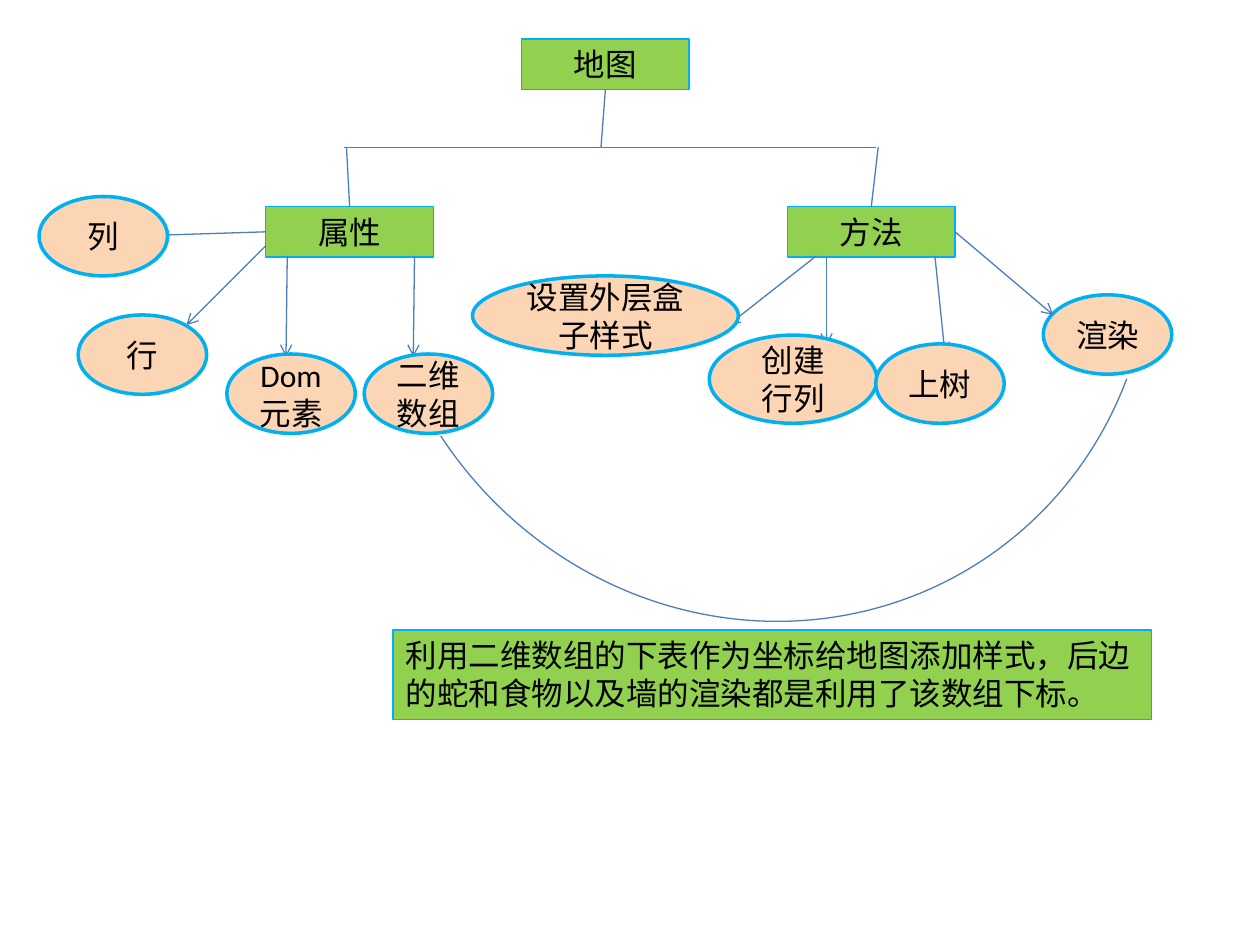
from lxml.etree import SubElement
from pptx import Presentation
from pptx.dml.color import RGBColor
from pptx.enum.shapes import MSO_CONNECTOR, MSO_SHAPE
from pptx.enum.text import MSO_ANCHOR, MSO_AUTO_SIZE, PP_ALIGN
from pptx.oxml.ns import qn
from pptx.util import Inches, Pt

GREEN = RGBColor(0x92, 0xD0, 0x50)
PEACH = RGBColor(0xFC, 0xD5, 0xB5)
CYAN = RGBColor(0x00, 0xB0, 0xF0)
BLUE = RGBColor(0x4B, 0x7E, 0xBC)
BLACK = RGBColor(0, 0, 0)

FONT = {"name": "Calibri", "size": Pt(18)}
TOP, BOTTOM, LEFT, RIGHT = 0, 2, 1, 3

BOX_SIZE = (1.33, 0.4)
OVAL_SIZE = (1.02, 0.63)
BRANCH_TOP = 1.64
BRANCH_BOTTOM = 2.03
BAR_Y = 1.17

# name: (left, top)
BOXES = {
    "地图": (4.14, 0.31),
    "属性": (2.11, BRANCH_TOP),
    "方法": (6.25, BRANCH_TOP),
}
NOTE = ("利用二维数组的下表作为坐标给地图添加样式，"
        "后边的蛇和食物以及墙的渲染都是利用了该数组下标。")
NOTE_FRAME = (3.12, 5, 6.02, 0.71)

# name, position, size
OVALS = [
    ("行", (0.62, 2.5), OVAL_SIZE),
    ("列", (0.31, 1.56), OVAL_SIZE),
    ("二维数组", (2.89, 2.81), OVAL_SIZE),
    ("Dom元素", (1.8, 2.81), OVAL_SIZE),
    ("创建行列", (5.63, 2.66), (1.33, 0.7)),
    ("上树", (6.95, 2.73), OVAL_SIZE),
    ("渲染", (8.28, 2.34), OVAL_SIZE),
    ("设置外层盒子样式", (3.75, 2.19), (2.11, 0.63)),
]

# start, end, (box, side) that the start is joined to
TREE_LINES = [
    ((2.73, BAR_Y), (6.95, BAR_Y), None),
    ((4.78, 0.71), (4.77, BAR_Y), ("地图", BOTTOM)),
    ((2.73, BRANCH_TOP), (2.75, BAR_Y), ("属性", TOP)),
    ((6.95, BRANCH_TOP), (6.97, BAR_Y), ("方法", TOP)),
]
ARROWS = [
    ((2.11, 1.95), (1.48, 2.58), None),
    ((2.28, BRANCH_BOTTOM), (2.27, 2.83), None),
    ((3.29, BRANCH_BOTTOM), (3.28, 2.83), None),
    ((2.11, 1.88), (1.17, 1.87), ("属性", LEFT)),
    ((6.48, BRANCH_BOTTOM), (5.78, 2.58), None),
    ((6.56, BRANCH_BOTTOM), (6.56, 2.74), None),
    ((7.42, BRANCH_BOTTOM), (7.5, 2.81), None),
]
RENDER_ARROW = ((7.58, 1.87), (8.36, 2.5), ("方法", RIGHT))

ARC_FRAME = (3, -1.39, 6.1, 6.36)
ARC_ROTATION = 146.8
ARC_ADJUSTMENTS = (141.6, 0)


def add_node(slide, kind, frame, fill, line_width, text, alignment, anchor):
    shape = slide.shapes.add_shape(kind, *map(Inches, frame))
    shape.shadow.inherit = False
    shape.fill.solid()
    shape.fill.fore_color.rgb = fill
    shape.line.color.rgb = CYAN
    shape.line.width = Pt(line_width)
    text_frame = shape.text_frame
    text_frame.word_wrap = True
    text_frame.vertical_anchor = anchor
    paragraph = text_frame.paragraphs[0]
    paragraph.alignment = alignment
    run = paragraph.add_run()
    run.text = text
    for key, value in FONT.items():
        setattr(run.font, key, value)
    run.font.color.rgb = BLACK
    return shape


def add_box(slide, frame, text, alignment):
    box = add_node(slide, MSO_SHAPE.RECTANGLE, frame, GREEN, 0.75,
                   text, alignment, MSO_ANCHOR.TOP)
    box.text_frame.auto_size = MSO_AUTO_SIZE.SHAPE_TO_FIT_TEXT
    return box


def add_line(slide, boxes, start, end, joint, arrow=False):
    connector = slide.shapes.add_connector(
        MSO_CONNECTOR.STRAIGHT, *map(Inches, start + end))
    if joint:
        name, side = joint
        connector.begin_connect(boxes[name], side)
    connector.line.color.rgb = BLUE
    connector.line.width = Pt(0.75)
    if arrow:
        SubElement(connector.line._get_or_add_ln(), qn("a:tailEnd"), type="arrow")
    SubElement(connector._element.spPr, qn("a:effectLst"))


def add_arc(slide):
    arc = slide.shapes.add_shape(MSO_SHAPE.ARC, *map(Inches, ARC_FRAME))
    for index, value in enumerate(ARC_ADJUSTMENTS):
        arc.adjustments[index] = value
    arc.rotation = ARC_ROTATION
    arc.shadow.inherit = False
    arc.fill.background()
    arc.line.color.rgb = BLUE
    arc.line.width = Pt(0.75)


def main():
    presentation = Presentation()
    presentation.slide_width = Inches(10)
    presentation.slide_height = Inches(7.5)
    slide = presentation.slides.add_slide(presentation.slide_layouts[6])

    boxes = {name: add_box(slide, position + BOX_SIZE, name, PP_ALIGN.CENTER)
             for name, position in BOXES.items()}
    for line in TREE_LINES:
        add_line(slide, boxes, *line)
    for line in ARROWS:
        add_line(slide, boxes, *line, arrow=True)
    for name, position, size in OVALS:
        add_node(slide, MSO_SHAPE.OVAL, position + size, PEACH, 2,
                 name, PP_ALIGN.CENTER, MSO_ANCHOR.MIDDLE)
    add_line(slide, boxes, *RENDER_ARROW, arrow=True)
    add_arc(slide)
    add_box(slide, NOTE_FRAME, NOTE, PP_ALIGN.LEFT)

    presentation.save("out.pptx")


if __name__ == "__main__":
    main()
